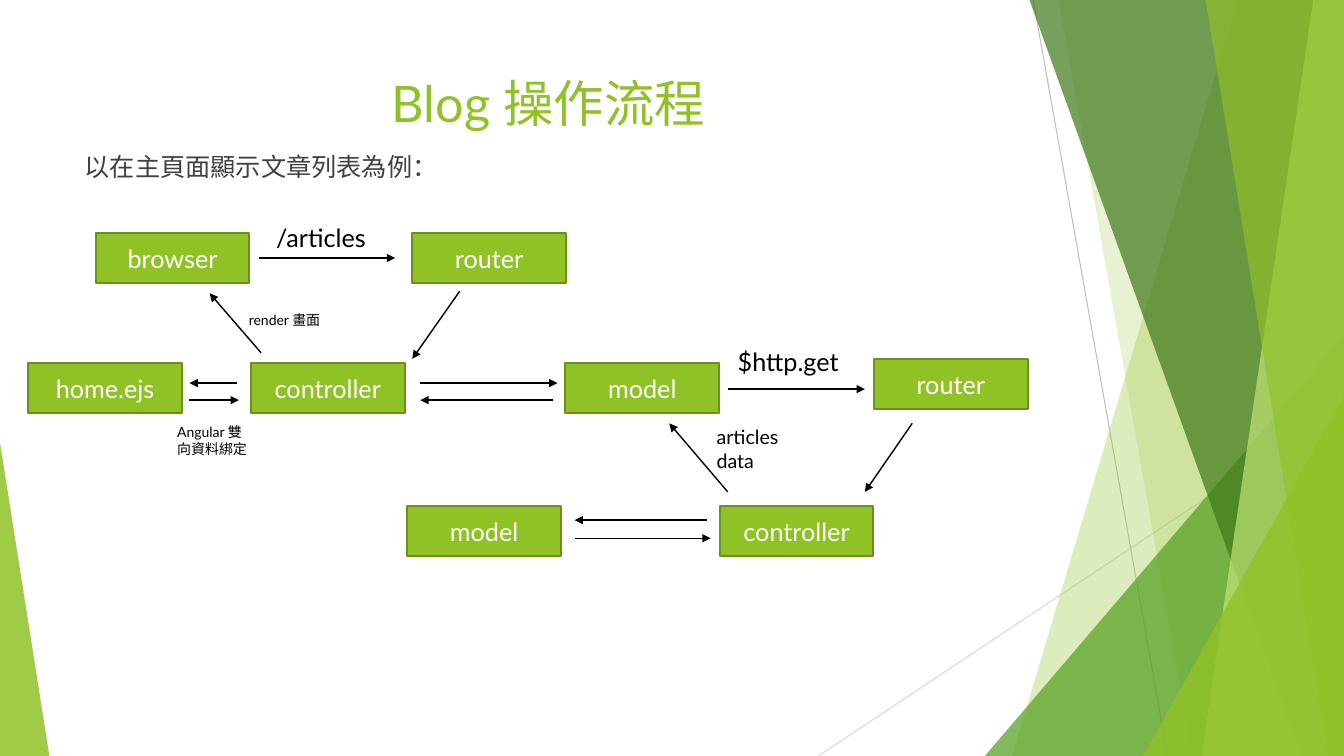
from dataclasses import dataclass
from lxml.etree import SubElement
from pptx import Presentation
from pptx.dml.color import RGBColor
from pptx.enum.shapes import MSO_CONNECTOR as Link, MSO_SHAPE as Kind
from pptx.enum.text import MSO_ANCHOR as Anchor, MSO_AUTO_SIZE as Fit, PP_ALIGN as Align
from pptx.oxml.ns import qn
from pptx.util import Inches, Pt


@dataclass(frozen=True)
class Theme:
    font: str = "Lato"
    lime: str = "90C226"
    edge: str = "6B901C"
    leaf: str = "54A021"
    pine: str = "3F7819"
    pale: str = "C0E474"
    ink: str = "000000"
    gray: str = "404040"
    white: str = "FFFFFF"
    rule: str = "BFBFBF"
    faint: str = "D9D9D9"
    head: int = 36
    base: int = 18
    small: int = 14
    tiny: int = 10


theme = Theme()
deck = Presentation()
deck.slide_width, deck.slide_height = Inches(13.333), Inches(7.5)
cols, rows = 160, 90
unit = deck.slide_height / rows
slide = deck.slides.add_slide(deck.slide_layouts[1])
shapes = slide.shapes


def write(frame, text, size, color, align=Align.LEFT):
    frame.word_wrap = True
    para = frame.paragraphs[0]
    para.alignment = align
    run = para.add_run()
    run.text = text
    run.font.name = theme.font
    run.font.size = Pt(size)
    run.font.color.rgb = RGBColor.from_string(color)
    return para


def draw(ends, color, width):
    line = shapes.add_connector(Link.STRAIGHT, *[round(n * unit) for n in ends])
    line.line.color.rgb = RGBColor.from_string(color)
    line.line.width = Pt(width)
    SubElement(line.element.spPr, qn("a:effectLst"))
    return line


draw((123, 0, 139, rows), theme.rule, 0.75)
draw((cols, 48.36, 97.44, rows), theme.faint, 0.75)

facets = [
    ("band", 147.36, 120.48, theme.lime, 30),
    ("band", 126, 141.96, theme.lime, 20),
    ("peak", 117.24, 39.96, theme.leaf, 72),
    ("band", 122.52, 154.92, theme.pine, 70),
    ("band", 156.36, 143.04, theme.pale, 70),
    ("band", 143.52, 158.16, theme.lime, 65),
    ("peak", 136.08, 47.16, theme.lime, 80),
    ("foot", 0, 52.68, theme.lime, 85),
]
for form, a, b, color, alpha in facets:
    if form == "band":
        pts = [(a, -0.1), (cols, -0.1), (cols, rows), (b, rows)]
        pts = [(round(x * unit), round(y * unit)) for x, y in pts]
        pen = shapes.build_freeform(*pts[0])
        pen.add_line_segments(pts[1:])
        facet = pen.convert_to_shape()
    else:
        wide = 5.88 if form == "foot" else cols - a
        place = [round(n * unit) for n in (a, b, wide, rows - b)]
        facet = shapes.add_shape(Kind.ISOSCELES_TRIANGLE, *place)
        facet.adjustments[0] = 0 if form == "foot" else 1
    facet.shadow.inherit = False
    facet.fill.solid()
    facet.fill.fore_color.rgb = RGBColor.from_string(color)
    tint = facet.element.spPr.find(qn("a:solidFill"))[0]
    SubElement(tint, qn("a:alpha"), val=str(alpha * 1000))
    facet.line.fill.background()

title, body = shapes.title, slide.placeholders[1]
for holder, top, high in [(title, 8.04, 17.28), (body, 17.4, 5.52)]:
    holder.left, holder.top = round(8.88 * unit), round(top * unit)
    holder.width, holder.height = round(112.8 * unit), round(high * unit)
    holder.text_frame.auto_size = Fit.NONE
    holder.text_frame.vertical_anchor = Anchor.TOP
    holder.element.getparent().append(holder.element)
write(title.text_frame, "Blog 操作流程", theme.head, theme.lime, Align.CENTER)
lead = write(body.text_frame, "以在主頁面顯示文章列表為例：", theme.base, theme.gray)
lead.space_before = Pt(10)
props = lead._p.get_or_add_pPr()
props.set("marL", "0")
props.set("indent", "0")
SubElement(props, qn("a:buNone"))

nodes = [
    ("browser", 11.4, 27.72),
    ("router", 104.04, 42.72),
    ("controller", 85.68, 60.24),
    ("router", 49.08, 27.72),
    ("home.ejs", 3.36, 43.2),
    ("controller", 29.88, 43.2),
    ("model", 67.32, 43.2),
    ("model", 48.48, 60.24),
]
for text, x, y in nodes:
    place = [round(n * unit) for n in (x, y, 18.3, 6)]
    node = shapes.add_shape(Kind.RECTANGLE, *place)
    node.shadow.inherit = False
    node.fill.solid()
    node.fill.fore_color.rgb = RGBColor.from_string(theme.lime)
    node.line.color.rgb = RGBColor.from_string(theme.edge)
    node.line.width = Pt(1.5)
    node.text_frame.vertical_anchor = Anchor.MIDDLE
    write(node.text_frame, text, theme.base, theme.white, Align.CENTER)

arrows = [
    (30.84, 30.72, 47.04, 30.72),
    (54.72, 34.68, 49.08, 42.72),
    (50.04, 45.6, 66.36, 45.6),
    (86.64, 46.32, 102.96, 46.32),
    (108.6, 50.4, 102.96, 58.56),
    (84.12, 61.92, 68.4, 61.92),
    (68.4, 64.08, 84.6, 64.08),
    (86.64, 58.56, 79.68, 50.4),
    (65.88, 47.64, 50.04, 47.64),
    (28.2, 45.6, 22.56, 45.6),
    (22.56, 47.64, 28.44, 47.64),
    (31.08, 42, 24.96, 34.92),
]
for ends in arrows:
    arrow = draw(ends, theme.ink, 1)
    SubElement(arrow.line._get_or_add_ln(), qn("a:tailEnd"), type="triangle")

labels = [
    ("/articles", 31.68, 25.92, 14.4, 4.8, theme.base),
    ("$http.get", 86.64, 40.68, 16.2, 4.8, theme.base),
    ("articles data", 84.12, 50.04, 12.6, 6.84, theme.small),
    ("Angular 雙向資料綁定", 19.92, 49.8, 11.16, 5.28, theme.tiny),
    ("render 畫面", 28.44, 36.48, 11.4, 3.24, theme.tiny),
]
for text, *place, size in labels:
    label = shapes.add_textbox(*[round(n * unit) for n in place])
    label.text_frame.auto_size = Fit.SHAPE_TO_FIT_TEXT
    write(label.text_frame, text, size, theme.ink)

deck.save("out.pptx")
